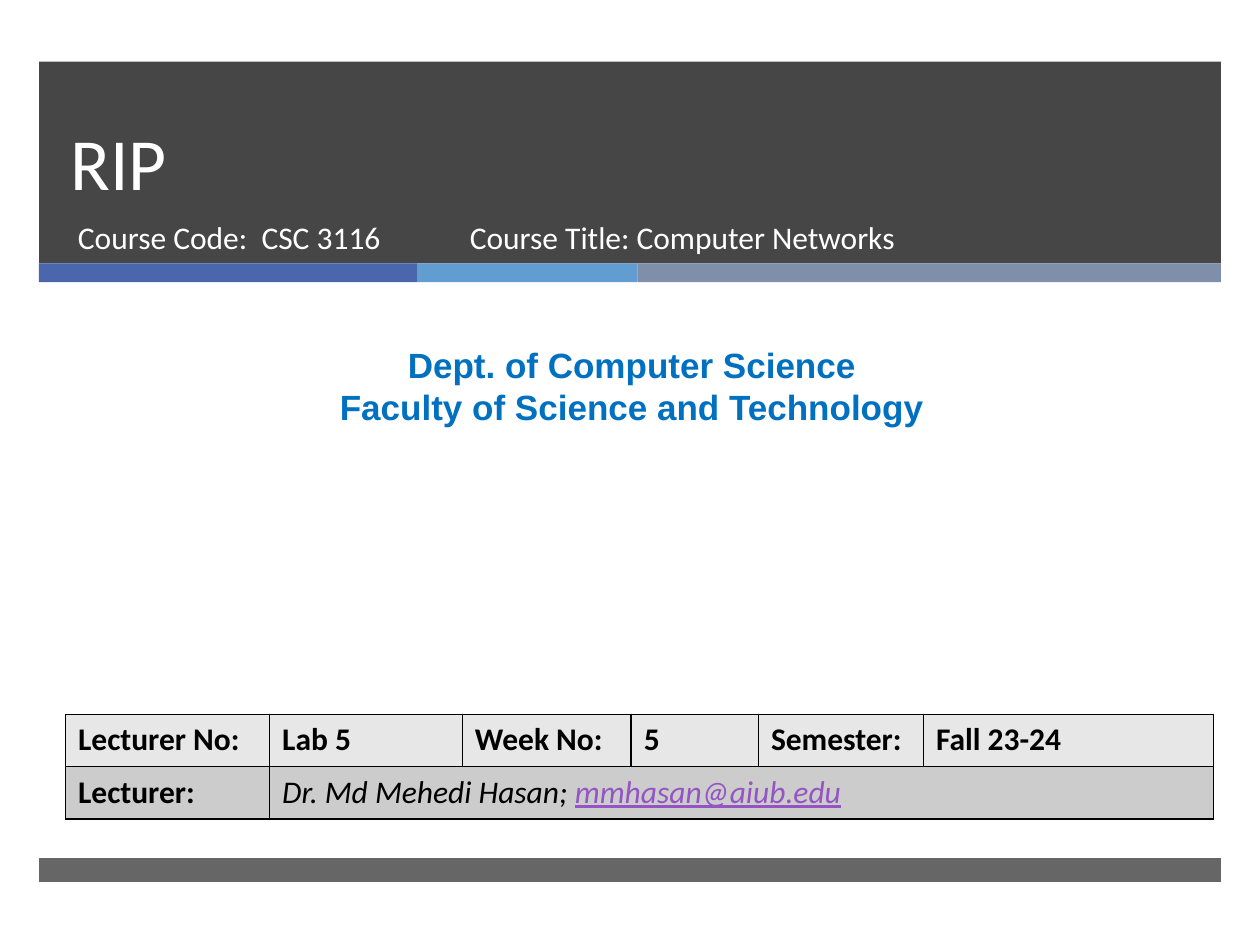
from lxml.etree import SubElement
from pptx import Presentation
from pptx.dml.color import RGBColor
from pptx.enum.shapes import MSO_SHAPE
from pptx.enum.text import MSO_ANCHOR, MSO_AUTO_SIZE, PP_ALIGN
from pptx.oxml.ns import qn
from pptx.util import Inches, Pt

WHITE = RGBColor(0xFF, 0xFF, 0xFF)
BLACK = RGBColor(0, 0, 0)
DARK = RGBColor(0x46, 0x46, 0x46)
GRAY = RGBColor(0x66, 0x66, 0x66)
NAVY = RGBColor(0x4A, 0x66, 0xAC)
SKY = RGBColor(0x62, 0x9D, 0xD1)
SLATE = RGBColor(0x7F, 0x8F, 0xA9)
BLUE = RGBColor(0x00, 0x70, 0xC0)
PURPLE = RGBColor(0x94, 0x54, 0xC3)
FILLS = [RGBColor(0xE7, 0xE7, 0xE7), RGBColor(0xCC, 0xCC, 0xCC)]

LEFT, WIDTH = 0.31, 9.38
STRIPES = [(3, NAVY), (1.75, SKY), (4.63, SLATE)]
TITLE = "RIP"
# lines, box, size, font, colour, bold, alignment
NOTES = [
    (["Course Code:  CSC 3116"], (0.52, 1.68, 3.05, 0.53),
     18, "Calibri", WHITE, False, PP_ALIGN.LEFT),
    (["Course Title: Computer Networks"], (3.63, 1.68, 4.55, 0.53),
     18, "Calibri", WHITE, False, PP_ALIGN.LEFT),
    (["Dept. of Computer Science", "Faculty of Science and Technology"],
     (0.08, 2.68, 9.87, 0.77), 20, "Arial", BLUE, True, PP_ALIGN.CENTER),
]
COLS = [1.62, 1.53, 1.34, 1.01, 1.31, 2.3]
ROWS = [
    ["Lecturer No:", "Lab 5", "Week No:", "5", "Semester:", "Fall 23-24"],
    ["Lecturer:"],
]
NAME, MAIL = "Dr. Md Mehedi Hasan; ", "mmhasan@aiub.edu"
ROW_H = 0.415


def style(run, size, face, color, bold=False):
    font = run.font
    font.size, font.name, font.bold = Pt(size), face, bold
    font.color.rgb = color


def add_bar(slide, box, color):
    bar = slide.shapes.add_shape(MSO_SHAPE.RECTANGLE, *map(Inches, box))
    bar.shadow.inherit = False
    bar.fill.solid()
    bar.fill.fore_color.rgb = color
    bar.line.fill.background()


def add_bars(slide):
    add_bar(slide, (LEFT, 0.49, WIDTH, 1.6), DARK)
    left = LEFT
    for width, color in STRIPES:
        add_bar(slide, (left, 2.09, width, 0.15), color)
        left += width
    add_bar(slide, (LEFT, 6.81, WIDTH, 0.19), GRAY)


def add_title(slide):
    title = slide.shapes.title
    title.left, title.top, title.width, title.height = map(
        Inches, (0.46, 0.49, 8.54, 1.19))
    frame = title.text_frame
    frame.text = TITLE
    frame.auto_size = MSO_AUTO_SIZE.NONE
    frame.vertical_anchor = MSO_ANCHOR.BOTTOM
    para = frame.paragraphs[0]
    para.alignment, para.line_spacing = PP_ALIGN.LEFT, Pt(46)
    style(para.runs[0], 42, "Calibri", WHITE)
    # Bring the title in front of the dark band
    slide.shapes._spTree.append(title._element)


def add_note(slide, lines, box, size, face, color, bold, align):
    frame = slide.shapes.add_textbox(*map(Inches, box)).text_frame
    frame.word_wrap = True
    frame.text = "\n".join(lines)
    for para in frame.paragraphs:
        para.alignment = align
        style(para.runs[0], size, face, color, bold)


def paint(cell, color):
    """Fill a cell and draw its four borders."""
    cell.fill.solid()
    cell.fill.fore_color.rgb = color
    props = cell._tc.get_or_add_tcPr()
    for spot, side in enumerate(("lnL", "lnR", "lnT", "lnB")):
        line = SubElement(props, qn("a:" + side), w=str(Pt(1)))
        props.insert(spot, line)
        solid = SubElement(line, qn("a:solidFill"))
        SubElement(solid, qn("a:srgbClr"), val=str(BLACK))


def add_grid(slide):
    grid = slide.shapes.add_table(
        len(ROWS), len(COLS), Inches(0.52), Inches(5.67),
        Inches(sum(COLS)), Inches(ROW_H * len(ROWS))).table
    for col, width in zip(grid.columns, COLS):
        col.width = Inches(width)
    for r, texts in enumerate(ROWS):
        grid.rows[r].height = Inches(ROW_H)
        for c in range(len(COLS)):
            paint(grid.cell(r, c), FILLS[r])
        for c, text in enumerate(texts):
            para = grid.cell(r, c).text_frame.paragraphs[0]
            para.text = text
            style(para.runs[0], 18, "Calibri", BLACK, True)

    teacher = grid.cell(1, 1)
    teacher.merge(grid.cell(1, len(COLS) - 1))
    para = teacher.text_frame.paragraphs[0]
    for text, color in ((NAME, BLACK), (MAIL, PURPLE)):
        run = para.add_run()
        run.text = text
        style(run, 18, "Calibri", color)
        run.font.italic = True
        run.font.underline = text == MAIL


def main():
    deck = Presentation()
    deck.slide_width, deck.slide_height = Inches(10), Inches(7.5)
    slide = deck.slides.add_slide(deck.slide_layouts[5])
    add_bars(slide)
    add_title(slide)
    for note in NOTES:
        add_note(slide, *note)
    add_grid(slide)
    deck.save("out.pptx")


if __name__ == "__main__":
    main()
